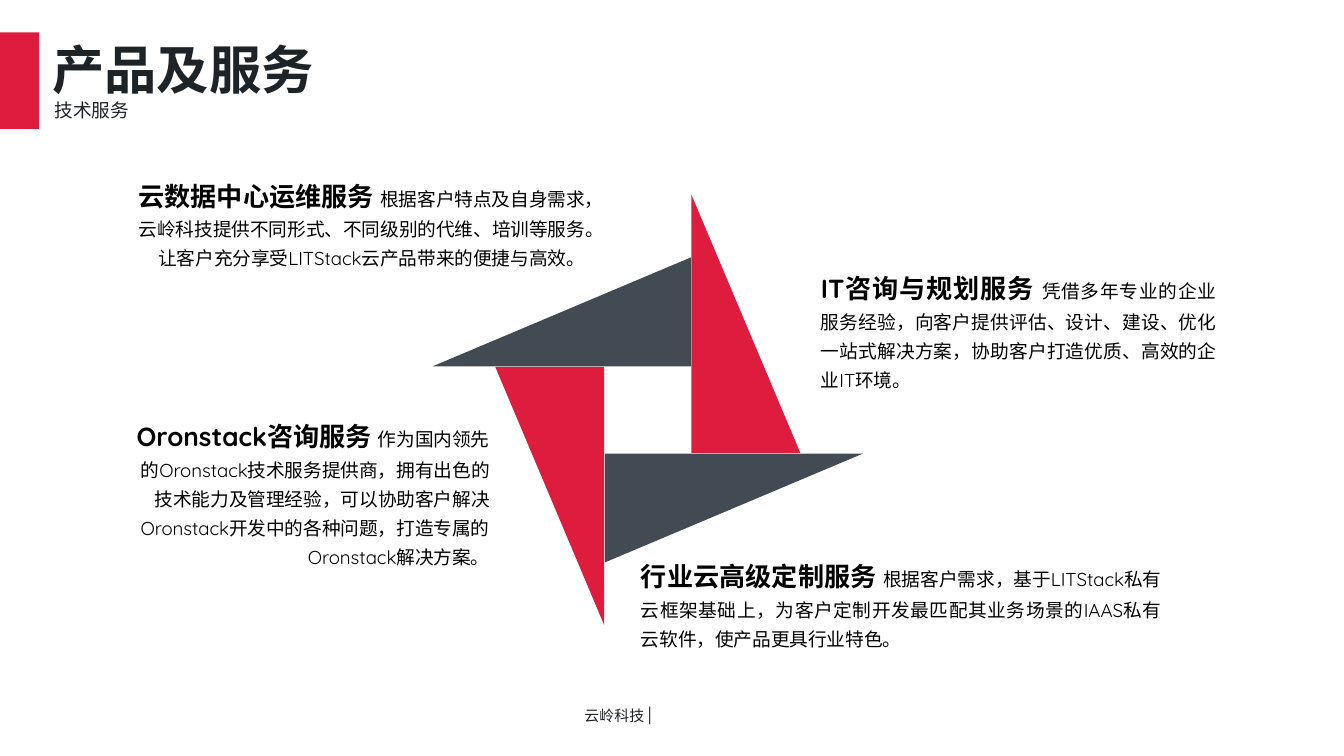
from pptx import Presentation
from pptx import util as u
from pptx.dml import color
from pptx.enum import shapes, text

COLORS = {"red": "DD1C3E", "slate": "424A53", "ink": "1E2327", "black": "000000"}
FONT = "Quicksand"
ALIGN = text.PP_ALIGN

presentation = Presentation()
presentation.slide_width = u.Inches(10)
presentation.slide_height = u.Inches(10 * 9 / 16)
slide = presentation.slides.add_slide(presentation.slide_layouts[5])


def add_text(box, runs, shape=None, ink="ink", align=ALIGN.LEFT, spacing=1.0):
    left, top, width, height = [u.Inches(value) for value in box]
    if shape is None:
        shape = slide.shapes.add_textbox(left, top, width, height)
    shape.left, shape.top, shape.width, shape.height = left, top, width, height
    frame = shape.text_frame
    frame.word_wrap = True
    frame.auto_size = text.MSO_AUTO_SIZE.NONE
    frame.vertical_anchor = text.MSO_ANCHOR.TOP
    paragraph = frame.paragraphs[0]
    paragraph.alignment = align
    paragraph.line_spacing = spacing
    for content, size, bold in runs:
        run = paragraph.add_run()
        run.text = content
        run.font.name = FONT
        run.font.size = u.Pt(size)
        run.font.bold = bold
        run.font.color.rgb = color.RGBColor.from_string(COLORS[ink])


def add_block(kind, box, fill, rotation=0):
    shape = slide.shapes.add_shape(kind, *[u.Inches(value) for value in box])
    shape.rotation = rotation
    shape.shadow.inherit = False
    shape.fill.solid()
    shape.fill.fore_color.rgb = color.RGBColor.from_string(COLORS[fill])
    shape.line.fill.background()


add_text((4.25, 5.13, 1.65, 0.32), [("云岭科技 ", 8, False), ("|", 10, False)], spacing=1.3)

add_block(shapes.MSO_SHAPE.RECTANGLE, (0, 0.24, 0.29, 0.72), "red")
add_text((0.29, 0.18, 2.5, 0.62), [("产品及服务", 28, True)],
         shape=slide.shapes.title, spacing=1.1)
add_text((0.31, 0.69, 2.07, 0.27), [("技术服务", 10, False)])

center_x, center_y = 4.82, 3.05
blade_width, blade_height = 0.81, 1.92
offset_x, offset_y = 0.73, -0.64
for rotation, fill in [(0, "red"), (270, "slate"), (180, "red"), (90, "slate")]:
    left = center_x + offset_x - blade_width / 2
    top = center_y + offset_y - blade_height / 2
    add_block(shapes.MSO_SHAPE.RIGHT_TRIANGLE,
              (left, top, blade_width, blade_height), fill, rotation)
    offset_x, offset_y = offset_y, -offset_x

services = [
    ((6.01, 1.91, 3.14, 1.04), ALIGN.JUSTIFY, "IT咨询与规划服务 ",
     "凭借多年专业的企业服务经验，向客户提供评估、设计、建设、优化一站式解决方案，"
     "协助客户打造优质、高效的企业IT环境。"),
    ((0.82, 3.01, 2.92, 1.26), ALIGN.RIGHT, "Oronstack咨询服务 ",
     "作为国内领先的Oronstack技术服务提供商，拥有出色的技术能力及管理经验，"
     "可以协助客户解决Oronstack开发中的各种问题，打造专属的Oronstack解决方案。"),
    ((0.82, 1.22, 3.63, 0.84), ALIGN.RIGHT, "云数据中心运维服务 ",
     "根据客户特点及自身需求，云岭科技提供不同形式、不同级别的代维、培训等服务。"
     "让客户充分享受LITStack云产品带来的便捷与高效。"),
    ((4.67, 4.05, 4.07, 1.05), ALIGN.JUSTIFY, "行业云高级定制服务 ",
     "根据客户需求，基于LITStack私有云框架基础上，"
     "为客户定制开发最匹配其业务场景的IAAS私有云软件，使产品更具行业特色。"),
]
for box, align, heading, description in services:
    add_text(box, [(heading, 14, True), (description, 10, False)],
             ink="black", align=align, spacing=1.3)

presentation.save("out.pptx")
